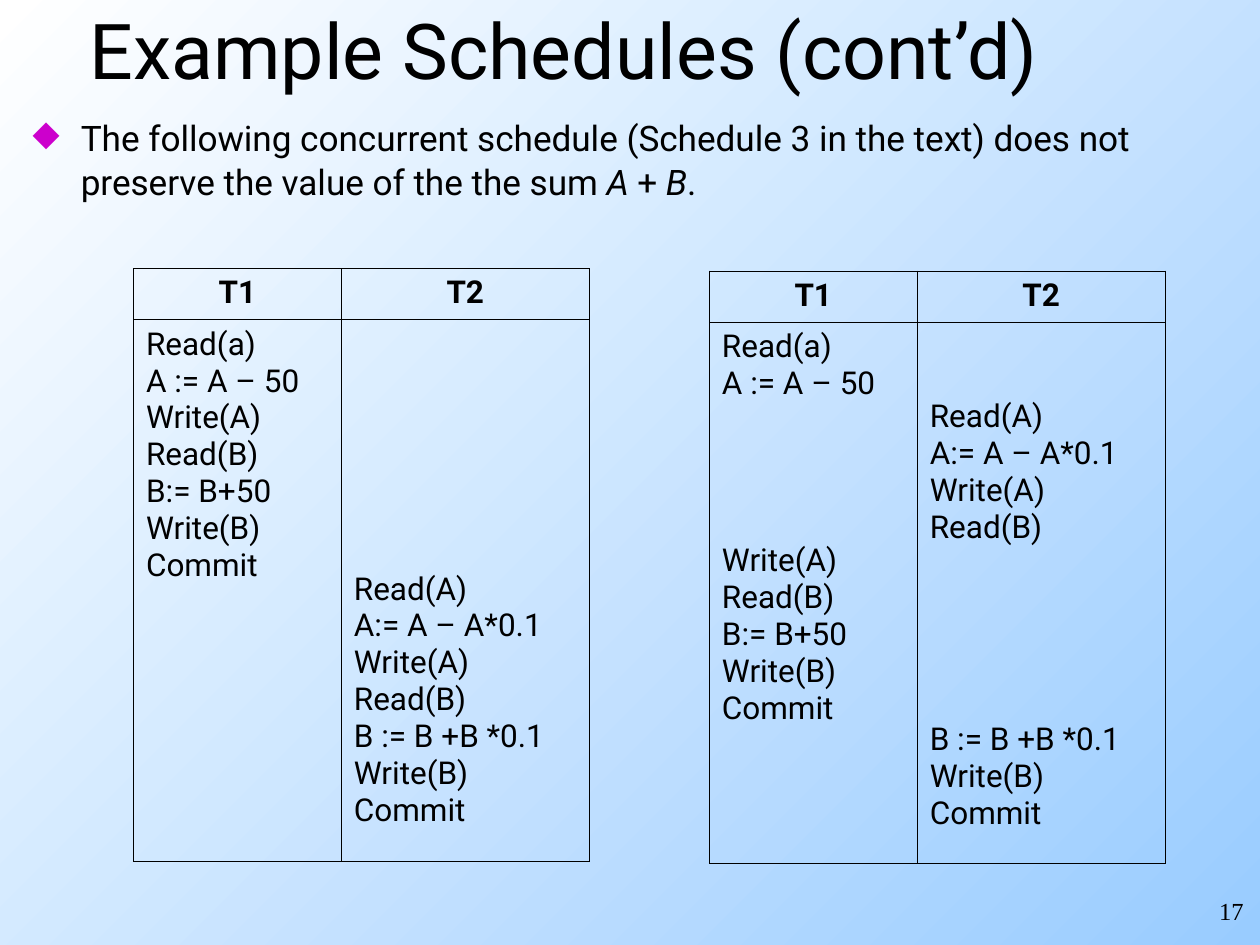
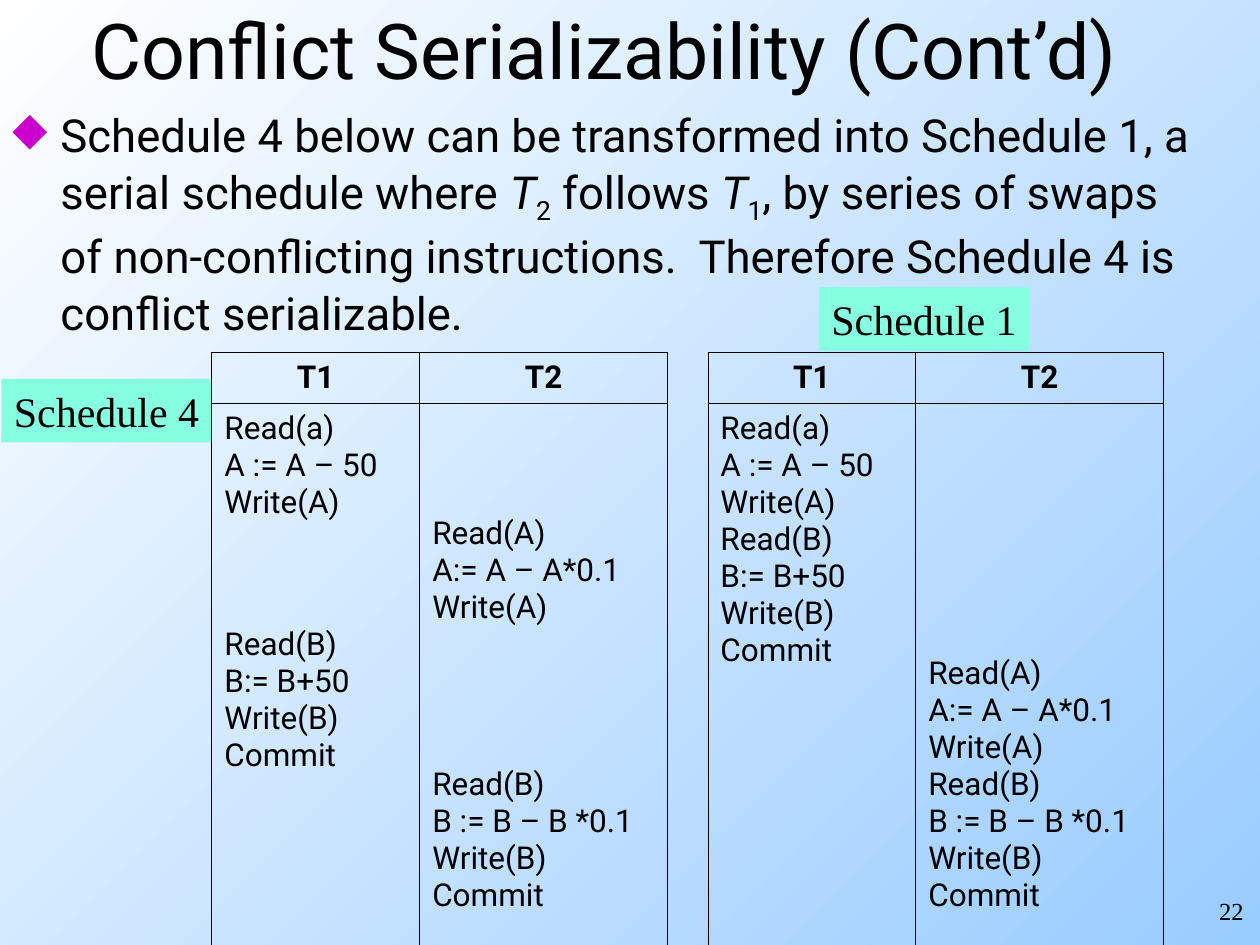
from dataclasses import dataclass

from lxml.etree import SubElement
from pptx import Presentation
from pptx.dml.color import RGBColor
from pptx.enum.shapes import MSO_SHAPE
from pptx.enum.text import MSO_ANCHOR, MSO_AUTO_SIZE, PP_ALIGN
from pptx.oxml import parse_xml
from pptx.oxml.ns import nsdecls, qn
from pptx.util import Cm, Pt


@dataclass(frozen=True)
class Theme:
    """Colours, fonts and type sizes shared by all slides."""
    ink: str = "000000"
    light: str = "FFFFFF"
    sky: str = "99CCFF"
    mint: str = "85FFE0"
    mark: str = "CC00CC"
    sans: str = "Roboto"
    serif: str = "Times New Roman"
    title: float = 44
    label: float = 24
    cell: float = 18
    number: float = 14
    blank: float = 20  # height of one skipped step, in points
    border: float = 0.45


THEME = Theme()

# Content: each column is a list of (skipped steps, operations) groups.
T1 = ["Read(a)", "A := A – 50", "Write(A)", "Read(B)", "B:= B+50", "Write(B)", "Commit"]
T2_PLUS = ["Read(A)", "A:= A – A*0.1", "Write(A)", "Read(B)", "B := B +B *0.1",
           "Write(B)", "Commit"]
T2_MINUS = T2_PLUS[:4] + ["B := B – B *0.1"] + T2_PLUS[5:]

SLIDES = [
    {
        "title": "Example Schedules (cont’d)",
        "left": 0.58,
        "number": "17",
        "body": {
            "box": (0.41, 2.18, 24.61, 3.28),
            "size": 20.1,
            "runs": [
                ("The following concurrent schedule (Schedule 3 in the text) does not "
                 "preserve the value of the the sum ", ""),
                ("A ", "italic"), ("+ ", ""), ("B", "italic"), (".", ""),
            ],
        },
        "labels": [],
        "tables": [
            (14.3, 5.46, {"T1": [(0, T1[:2]), (4, T1[2:])],
                          "T2": [(2, T2_PLUS[:4]), (5, T2_PLUS[4:])]}),
            (2.69, 5.41, {"T1": [(0, T1)], "T2": [(7, T2_PLUS)]}),
        ],
    },
    {
        "title": "Conflict Serializability (Cont’d)",
        "left": 1.4,
        "number": "22",
        "body": {
            "box": (0, 1.98, 24.41, 11.3),
            "size": 26,
            "runs": [
                ("Schedule 4 below can be transformed into Schedule 1, a serial "
                 "schedule where ", ""),
                ("T", "italic"), ("2", "sub"), (" follows ", ""),
                ("T", "italic"), ("1", "sub"),
                (", by series of swaps of non-conflicting instructions.  Therefore "
                 "Schedule 4 is conflict serializable.", ""),
            ],
        },
        "labels": [("Schedule 4", 0.03, 7.64), ("Schedule 1", 16.51, 5.79)],
        "tables": [
            (14.27, 7.11, {"T1": [(0, T1)], "T2": [(7, T2_MINUS)]}),
            (4.27, 7.11, {"T1": [(0, T1[:3]), (3, T1[3:])],
                          "T2": [(3, T2_MINUS[:3]), (4, T2_MINUS[3:])]}),
        ],
    },
]

# Sizes in centimetres.
WIDTH, HEIGHT = 25.4, 19.05
TITLE = (21.59, 1.98)
NUMBER = (20.04, 17.93, 5.28, 0.91)
LABEL = (4.24, 1.28)
COLS = (4.19, 5.0)
ROWS = (1.03, 10.92)
INDENT = 0.97
PAD = 0.13


def color(code):
    """Turn a hex code into a colour."""
    return RGBColor.from_string(code)


def style(para, size, face=THEME.sans, bold=False, align=None):
    """Format a whole paragraph."""
    font = para.font
    font.name, font.size, font.bold = face, Pt(size), bold
    font.color.rgb = color(THEME.ink)
    if align is not None:
        para.alignment = align


def paint(master):
    """Give the master its diagonal gradient."""
    fill = master.background.fill
    fill.gradient()
    fill.gradient_angle = 315
    for stop, code in zip(fill.gradient_stops, (THEME.light, THEME.sky)):
        stop.color.rgb = color(code)


def head(slide, text, left):
    """Place and format the title."""
    shape = slide.shapes.title
    shape.left, shape.top = Cm(left), Cm(0)
    shape.width, shape.height = map(Cm, TITLE)
    frame = shape.text_frame
    frame.text = text
    frame.auto_size = MSO_AUTO_SIZE.NONE
    frame.vertical_anchor = MSO_ANCHOR.MIDDLE
    style(frame.paragraphs[0], THEME.title, align=PP_ALIGN.CENTER)


def write(slide, box):
    """Add a wrapping text box and return its first paragraph."""
    frame = slide.shapes.add_textbox(*map(Cm, box)).text_frame
    frame.word_wrap = True
    return frame.paragraphs[0]


def bullet(para):
    """Hang the paragraph on a coloured diamond."""
    props = para._p.get_or_add_pPr()
    props.set("marL", str(Cm(INDENT)))
    props.set("indent", str(-Cm(INDENT)))
    tint = SubElement(props, qn("a:buClr"))
    SubElement(tint, qn("a:srgbClr"), val=THEME.mark)
    SubElement(props, qn("a:buChar"), char="◆")


def body(slide, box, size, runs):
    """Add the bulleted statement with its italics and subscripts."""
    para = write(slide, box)
    para.line_spacing = 1.04
    bullet(para)
    style(para, size)
    for text, kind in runs:
        run = para.add_run()
        run.text = text
        if kind == "italic":
            run.font.italic = True
        elif kind == "sub":
            run._r.get_or_add_rPr().set("baseline", "-25000")


def label(slide, text, left, top):
    """Add a schedule name on a mint plate."""
    shape = slide.shapes.add_shape(MSO_SHAPE.RECTANGLE, Cm(left), Cm(top), *map(Cm, LABEL))
    shape.shadow.inherit = False
    shape.fill.solid()
    shape.fill.fore_color.rgb = color(THEME.mint)
    shape.line.fill.background()
    frame = shape.text_frame
    frame.word_wrap = False
    frame.vertical_anchor = MSO_ANCHOR.TOP
    frame.text = text
    style(frame.paragraphs[0], THEME.label, THEME.serif, align=PP_ALIGN.LEFT)


def edge(cell):
    """Clear the cell's fill and draw its four borders."""
    cell.fill.background()
    props = cell._tc.get_or_add_tcPr()
    for spot, side in enumerate("LRTB"):
        props.insert(spot, parse_xml(
            f'<a:ln{side} {nsdecls("a")} w="{Pt(THEME.border)}"><a:solidFill>'
            f'<a:srgbClr val="{THEME.ink}"/></a:solidFill></a:ln{side}>'))


def steps(cell, groups):
    """List operations, leaving room for the steps of the other column."""
    frame = cell.text_frame
    frame.text = "\n".join(op for _, ops in groups for op in ops)
    paras = iter(frame.paragraphs)
    for order, (skip, ops) in enumerate(groups):
        gap = Pt(skip * THEME.blank)
        for place, para in enumerate(next(paras) for _ in ops):
            style(para, THEME.cell)
            if order and not place:
                para.space_before = gap
        if not order:
            cell.margin_top = Cm(PAD) + gap


def grid(slide, left, top, plan):
    """Add a schedule table with one column per transaction."""
    table = slide.shapes.add_table(
        len(ROWS), len(COLS), Cm(left), Cm(top), Cm(sum(COLS)), Cm(sum(ROWS))).table
    table.first_row = table.horz_banding = False
    for row, size in zip(table.rows, ROWS):
        row.height = Cm(size)
    for col, size in zip(table.columns, COLS):
        col.width = Cm(size)
    for spot, (name, groups) in enumerate(plan.items()):
        top_cell, low_cell = table.cell(0, spot), table.cell(1, spot)
        top_cell.text = name
        style(top_cell.text_frame.paragraphs[0], THEME.cell, bold=True,
              align=PP_ALIGN.CENTER)
        steps(low_cell, groups)
        edge(top_cell)
        edge(low_cell)


def build(deck, data):
    """Build one slide from its content."""
    slide = deck.slides.add_slide(deck.slide_layouts.get_by_name("Title Only"))
    head(slide, data["title"], data["left"])
    body(slide, **data["body"])
    para = write(slide, NUMBER)
    para.text = data["number"]
    style(para, THEME.number, THEME.serif, align=PP_ALIGN.RIGHT)
    for item in data["labels"]:
        label(slide, *item)
    for item in data["tables"]:
        grid(slide, *item)


deck = Presentation()
deck.slide_width, deck.slide_height = Cm(WIDTH), Cm(HEIGHT)
paint(deck.slide_master)
for data in SLIDES:
    build(deck, data)
deck.save("out.pptx")
